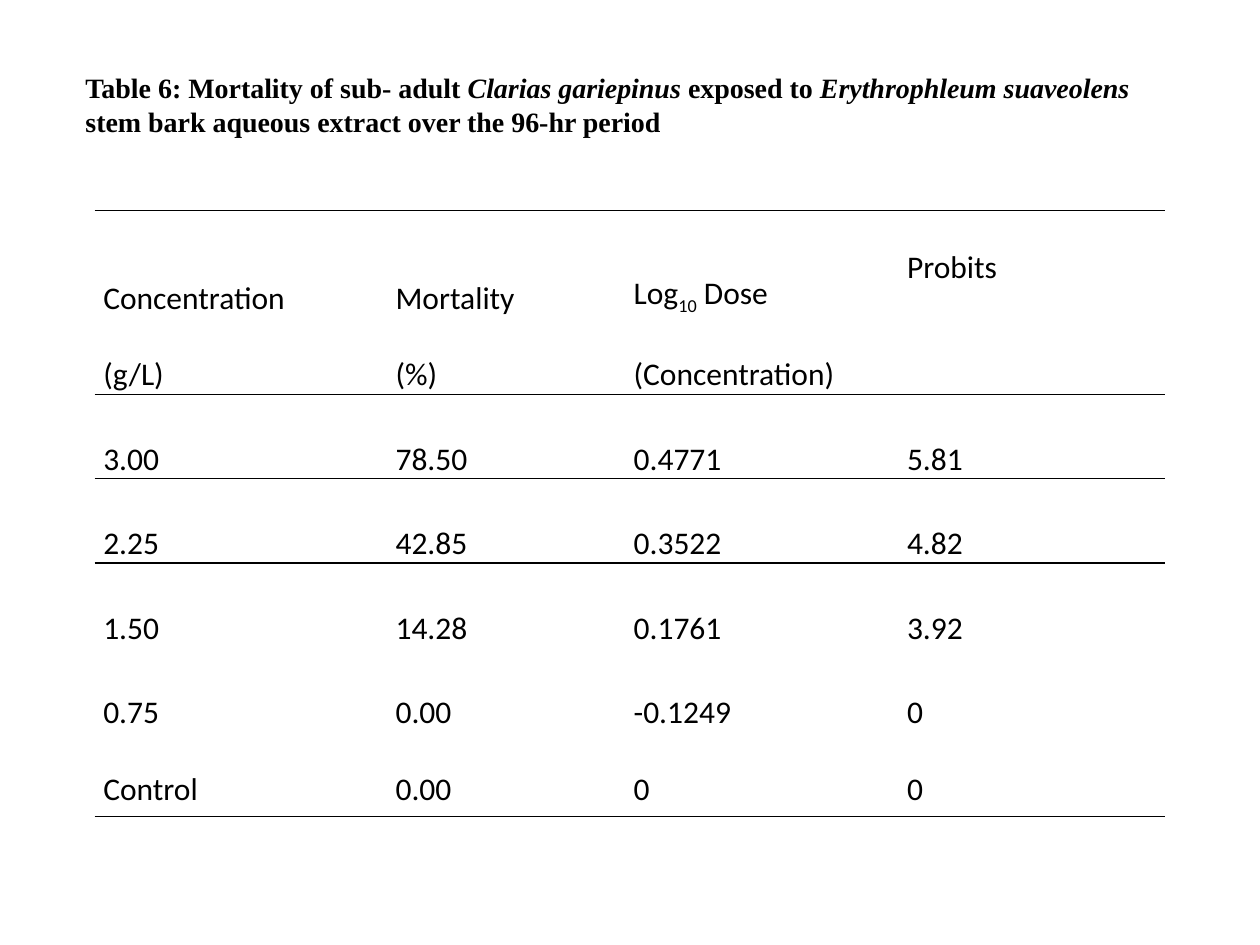
from lxml.etree import SubElement
from pptx import Presentation
from pptx.dml.color import RGBColor
from pptx.enum.text import MSO_ANCHOR, MSO_AUTO_SIZE, PP_ALIGN
from pptx.oxml.ns import qn
from pptx.util import Inches, Pt

BLACK = RGBColor(0x00, 0x00, 0x00)
NO_STYLE_NO_GRID = "{2D5ABB26-0587-4C30-8999-92F81FD0307C}"

TITLE_PARTS = [
    ("Table 6: Mortality of sub- adult ", False),
    ("Clarias gariepinus", True),
    (" exposed to ", False),
    ("Erythrophleum suaveolens ", True),
    ("stem bark aqueous extract over the 96-hr period", False),
]
COLUMN_WIDTHS = [2.32, 1.89, 2.17, 2.12]
ROW_HEIGHTS = [1.46] + [0.67] * 5
ROWS = [
    ["Concentration\n(g/L)", "Mortality\n(%)", "Log_10_ Dose\n(Concentration)", "Probits"],
    ["3.00", "78.50", "0.4771", "5.81"],
    ["2.25", "42.85", "0.3522", "4.82"],
    ["1.50", "14.28", "0.1761", "3.92"],
    ["0.75", "0.00", "-0.1249", "0"],
    ["Control", "0.00", "0", "0"],
]
# Horizontal rules, numbered by the row boundary they lie on
RULED_BOUNDARIES = {0, 1, 2, len(ROWS)}


class SlideBuilder:
    title_font, title_size = "Times New Roman", Pt(16)
    table_font, table_size = "Calibri", Pt(18)

    def __init__(self, slide):
        self.slide = slide

    def format_run(self, run, name, size):
        run.font.name = name
        run.font.size = size
        run.font.color.rgb = BLACK

    def title(self, parts, left, top, width, height):
        box = self.slide.shapes.add_textbox(
            Inches(left), Inches(top), Inches(width), Inches(height))
        frame = box.text_frame
        frame.word_wrap = True
        frame.auto_size = MSO_AUTO_SIZE.SHAPE_TO_FIT_TEXT
        frame.vertical_anchor = MSO_ANCHOR.MIDDLE
        for text, italic in parts:
            run = frame.paragraphs[0].add_run()
            run.text = text
            self.format_run(run, self.title_font, self.title_size)
            run.font.bold = True
            run.font.italic = italic

    def rule(self, cell, side):
        properties = cell._tc.get_or_add_tcPr()
        line = SubElement(properties, qn(f"a:{side}"), w=str(Pt(1)))
        fill = SubElement(line, qn("a:solidFill"))
        SubElement(fill, qn("a:srgbClr"), val=str(BLACK))

    def cell_text(self, cell, text):
        for index, line in enumerate(text.split("\n")):
            frame = cell.text_frame
            paragraph = frame.add_paragraph() if index else frame.paragraphs[0]
            paragraph.alignment = PP_ALIGN.JUSTIFY
            paragraph.line_spacing = 2.0
            # Underscores enclose a subscript
            for position, part in enumerate(line.split("_")):
                run = paragraph.add_run()
                run.text = part
                self.format_run(run, self.table_font, self.table_size)
                if position % 2:
                    run._r.get_or_add_rPr().set("baseline", "-25000")

    def table(self, rows, left, top, widths, heights):
        frame = self.slide.shapes.add_table(
            len(rows), len(widths), Inches(left), Inches(top),
            Inches(sum(widths)), Inches(sum(heights)))
        table = frame.table
        table.first_row = table.horz_banding = False
        table._tbl.tblPr.find(qn("a:tableStyleId")).text = NO_STYLE_NO_GRID
        for column, width in zip(table.columns, widths):
            column.width = Inches(width)
        for row, height in zip(table.rows, heights):
            row.height = Inches(height)
        for row_index, values in enumerate(rows):
            for column_index, text in enumerate(values):
                cell = table.cell(row_index, column_index)
                cell.margin_left = cell.margin_right = Inches(0.07)
                cell.margin_top = cell.margin_bottom = 0
                at_top = row_index == len(rows) - 1 or text == "Probits"
                cell.vertical_anchor = MSO_ANCHOR.TOP if at_top else MSO_ANCHOR.BOTTOM
                self.cell_text(cell, text)
                for side, boundary in (("lnT", row_index), ("lnB", row_index + 1)):
                    if boundary in RULED_BOUNDARIES:
                        self.rule(cell, side)
                cell.fill.background()


def main():
    presentation = Presentation()
    presentation.slide_width = Inches(10)
    presentation.slide_height = Inches(7.5)
    builder = SlideBuilder(presentation.slides.add_slide(presentation.slide_layouts[6]))

    # Mortality table
    builder.table(ROWS, 0.75, 1.67, COLUMN_WIDTHS, ROW_HEIGHTS)

    # Caption above the table
    builder.title(TITLE_PARTS, 0.58, 0.51, 8.67, 0.64)

    presentation.save("out.pptx")


if __name__ == "__main__":
    main()
